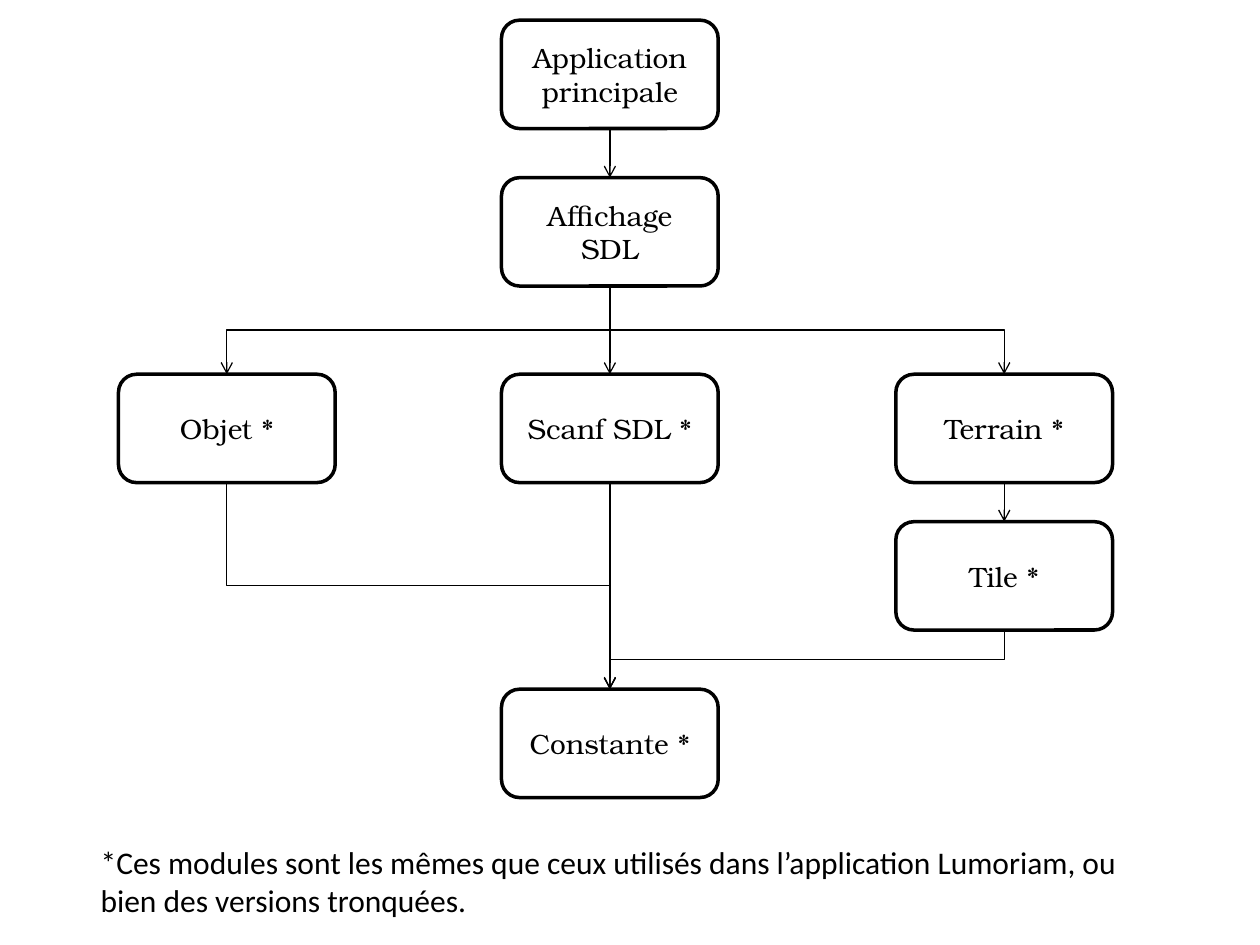
import pptx
import pptx.dml.color
import pptx.enum.shapes
import pptx.enum.text
import pptx.oxml
import pptx.oxml.ns
import pptx.util

COLORS = {"ink": "000000", "paper": "FFFFFF"}
SLIDE_W, SLIDE_H = pptx.util.Inches(10), pptx.util.Inches(7.5)

# Module grid, in percent of the slide: left edges, top edges, module size
COLUMNS = {"left": 9.4, "middle": 39.8, "right": 71.1}
ROWS = [2.13, 18.8, 39.6, 55.2, 72.93]
MODULE_W, MODULE_H = 17.2, 11.47

MODULES = {
    "Application principale": ("middle", 0),
    "Affichage SDL": ("middle", 1),
    "Objet *": ("left", 2),
    "Scanf SDL *": ("middle", 2),
    "Terrain *": ("right", 2),
    "Tile *": ("right", 3),
    "Constante *": ("middle", 4),
}
DEPENDENCIES = [
    ("Application principale", "Affichage SDL"),
    ("Affichage SDL", "Objet *"),
    ("Affichage SDL", "Scanf SDL *"),
    ("Affichage SDL", "Terrain *"),
    ("Terrain *", "Tile *"),
    ("Objet *", "Constante *"),
    ("Tile *", "Constante *"),
    ("Scanf SDL *", "Constante *"),
]
FOOTNOTE = ("*Ces modules sont les mêmes que ceux utilisés dans l’application "
            "Lumoriam, ou bien des versions tronquées.")


def color(name):
    return pptx.dml.color.RGBColor.from_string(COLORS[name])


def to_lengths(box):
    """Turn left, top, width, height in percent of the slide into lengths."""
    return [int(size * share / 100)
            for size, share in zip((SLIDE_W, SLIDE_H) * 2, box)]


def add_text(paragraph, text, font, size):
    run = paragraph.add_run()
    run.text = text
    run.font.name = font
    run.font.size = pptx.util.Pt(size)
    run.font.color.rgb = color("ink")


def add_module(slide, label, box):
    module = slide.shapes.add_shape(
        pptx.enum.shapes.MSO_SHAPE.ROUNDED_RECTANGLE, *to_lengths(box))
    module.shadow.inherit = False
    module.fill.solid()
    module.fill.fore_color.rgb = color("paper")
    module.line.color.rgb = color("ink")
    module.line.width = pptx.util.Pt(2)
    module.text_frame.word_wrap = True
    module.text_frame.vertical_anchor = pptx.enum.text.MSO_ANCHOR.MIDDLE
    paragraph = module.text_frame.paragraphs[0]
    paragraph.alignment = pptx.enum.text.PP_ALIGN.CENTER
    add_text(paragraph, label, "TeX Gyre Bonum", 16)
    return module


def add_dependency(slide, user, used):
    """Run an elbow arrow from the bottom of one module to the top of another."""
    start_x, start_y = user.left + user.width // 2, user.top + user.height
    end_x, end_y = used.left + used.width // 2, used.top
    arrow = slide.shapes.add_connector(
        pptx.enum.shapes.MSO_CONNECTOR.ELBOW, start_x, start_y, end_x, end_y)
    arrow.begin_connect(user, 2)
    arrow.end_connect(used, 0)
    arrow.line.color.rgb = color("ink")
    arrow.line.width = pptx.util.Pt(0.75)

    # A quarter turn makes the elbow leave and arrive vertically
    drop, shift = end_y - start_y, abs(end_x - start_x)
    arrow.width, arrow.height = drop, shift
    arrow.left = (start_x + end_x - drop) // 2
    arrow.top = (start_y + end_y - shift) // 2
    properties = arrow._element.spPr
    frame = properties.find(pptx.oxml.ns.qn("a:xfrm"))
    for flip in ("flipH", "flipV"):
        frame.attrib.pop(flip, None)
    goes_right = end_x > start_x
    frame.set("rot", str((270 if goes_right else 90) * 60000))
    if goes_right:
        frame.set("flipH", "1")

    # Arrowhead, and no shadow
    namespace = pptx.oxml.ns.nsdecls("a")
    arrow.line._get_or_add_ln().append(
        pptx.oxml.parse_xml(f'<a:tailEnd {namespace} type="arrow"/>'))
    properties.append(pptx.oxml.parse_xml(f"<a:effectLst {namespace}/>"))


def add_module_diagram(slide, columns, rows):
    modules = {
        label: add_module(slide, label,
                          (columns[column], rows[row], MODULE_W, MODULE_H))
        for label, (column, row) in MODULES.items()
    }
    for user, used in DEPENDENCIES:
        add_dependency(slide, modules[user], modules[used])


def add_footnote(slide, box):
    footnote = slide.shapes.add_textbox(*to_lengths(box))
    footnote.text_frame.word_wrap = True
    footnote.text_frame.auto_size = pptx.enum.text.MSO_AUTO_SIZE.SHAPE_TO_FIT_TEXT
    add_text(footnote.text_frame.paragraphs[0], FOOTNOTE, "Calibri", 18)


def main():
    presentation = pptx.Presentation()
    presentation.slide_width, presentation.slide_height = SLIDE_W, SLIDE_H
    slide = presentation.slides.add_slide(presentation.slide_layouts[6])
    add_module_diagram(slide, COLUMNS, ROWS)
    add_footnote(slide, (7, 88.53, 87.5, 9.47))
    presentation.save("out.pptx")


if __name__ == "__main__":
    main()
